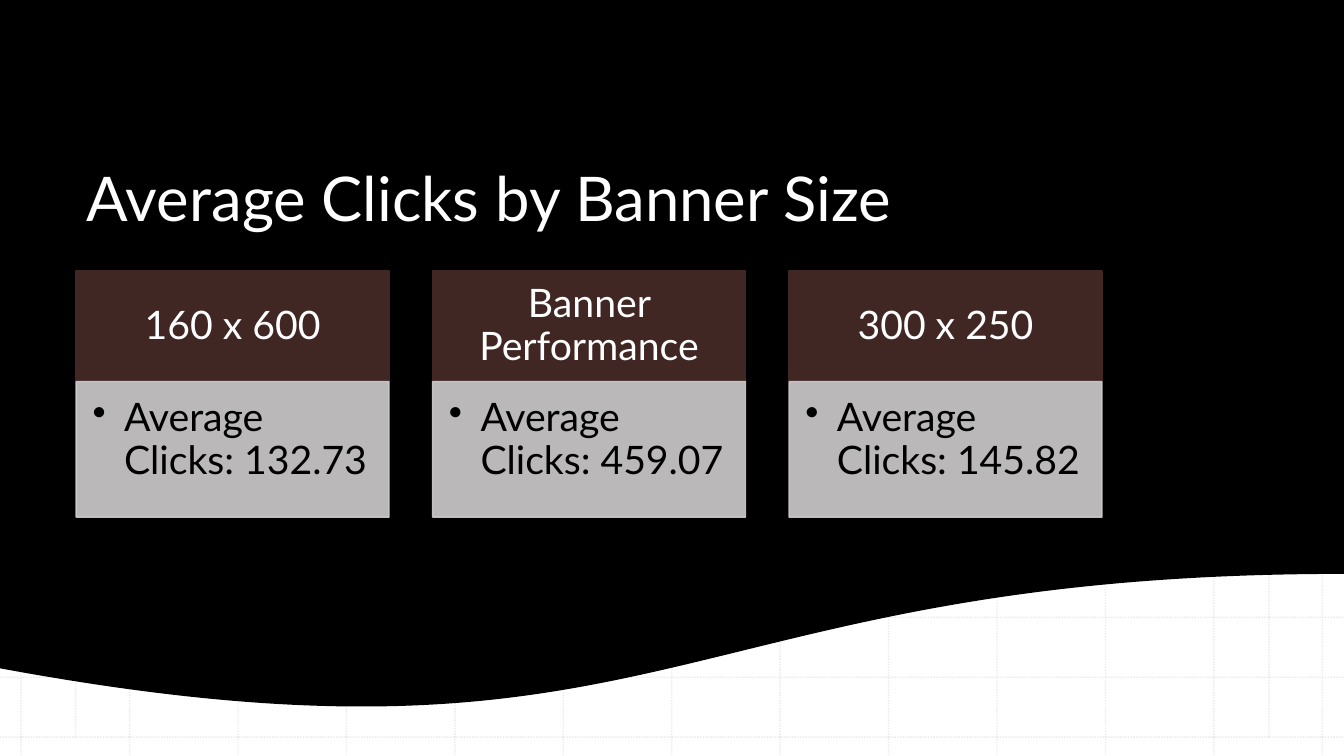
"""Build the slide on average clicks by banner size."""
import pptx
import pptx.dml.color
import pptx.enum.dml
import pptx.enum.shapes
import pptx.enum.text
import pptx.oxml
import pptx.oxml.ns
import pptx.util

TITLE = "Average Clicks by Banner Size"
CARDS = [
    ("160 x 600", "Average Clicks: 132.73"),
    ("Banner Performance", "Average Clicks: 459.07"),
    ("300 x 250", "Average Clicks: 145.82"),
]
FONT = "Lato"
WIDTH, HEIGHT = 960, 540
GRID_LEFT, GRID_TOP = 15.12, 13.5
COLUMN_STEP, ROW_STEP, GRID_COUNT = 77.45, 42.75, 13
MARGINS = (54, 906.5)
CARD_LEFT, CARD_TOP, CARD_WIDTH, CARD_STEP = 54.4, 193.6, 223.5, 254.6
HEADER_HEIGHT, BODY_HEIGHT = 79, 96.8
BULLET_INDENT = 22.5

Pt = pptx.util.Pt
SHAPES = pptx.enum.shapes.MSO_SHAPE
ALIGN = pptx.enum.text.PP_ALIGN
ANCHOR = pptx.enum.text.MSO_ANCHOR


def color(value):
    return pptx.dml.color.RGBColor.from_string(value)


def set_opacity(shape, percent):
    for node in shape.element.spPr.iter(pptx.oxml.ns.qn("a:srgbClr")):
        alpha = node.makeelement(pptx.oxml.ns.qn("a:alpha"), {"val": str(percent * 1000)})
        node.append(alpha)


def write_text(shape, text, *, size, fill, align=ALIGN.LEFT, anchor=ANCHOR.TOP,
               insets=(7.2, 3.6, 7.2, 3.6), spacing=1.0, bullet=False):
    frame = shape.text_frame
    frame.word_wrap = True
    frame.auto_size = pptx.enum.text.MSO_AUTO_SIZE.NONE
    frame.vertical_anchor = anchor
    (frame.margin_left, frame.margin_top,
     frame.margin_right, frame.margin_bottom) = map(Pt, insets)
    paragraph = frame.paragraphs[0]
    paragraph.alignment = align
    paragraph.line_spacing = spacing
    run = paragraph.add_run()
    run.text = text
    run.font.name = FONT
    run.font.size = Pt(size)
    run.font.color.rgb = color(fill)
    if bullet:
        properties = paragraph._p.get_or_add_pPr()
        properties.set("marL", str(Pt(BULLET_INDENT)))
        properties.set("indent", str(-Pt(BULLET_INDENT)))
        mark = properties.makeelement(pptx.oxml.ns.qn("a:buChar"), {"char": "•"})
        properties.append(mark)


def add_grid_line(slide, x1, y1, x2, y2):
    connector = slide.shapes.add_connector(
        pptx.enum.shapes.MSO_CONNECTOR.STRAIGHT, Pt(x1), Pt(y1), Pt(x2), Pt(y2))
    connector.line.color.rgb = color("BCBCBC")
    connector.line.width = Pt(1)
    connector.line.dash_style = pptx.enum.dml.MSO_LINE.ROUND_DOT
    set_opacity(connector, 30)
    properties = connector.element.spPr
    properties.append(properties.makeelement(pptx.oxml.ns.qn("a:effectLst"), {}))


def add_panel(slide, left, top, width, height, fill, *, kind=SHAPES.RECTANGLE, outline=True):
    shape = slide.shapes.add_shape(kind, Pt(left), Pt(top), Pt(width), Pt(height))
    shape.shadow.inherit = False
    shape.fill.solid()
    shape.fill.fore_color.rgb = color(fill)
    if outline:
        shape.line.color.rgb = color(fill)
        shape.line.width = Pt(1)
    else:
        shape.line.fill.background()
    return shape


def add_grid(slide):
    for index in range(GRID_COUNT):
        x = GRID_LEFT + index * COLUMN_STEP
        y = GRID_TOP + index * ROW_STEP
        add_grid_line(slide, x, 0, x, HEIGHT)
        add_grid_line(slide, 0, y, WIDTH, y)
    for x in MARGINS:
        add_grid_line(slide, x, GRID_TOP, x, HEIGHT - GRID_TOP)


def add_card(slide, left, heading, detail):
    header = add_panel(slide, left, CARD_TOP, CARD_WIDTH, HEADER_HEIGHT, "412724")
    write_text(header, heading, size=28, fill="FFFFFF", align=ALIGN.CENTER,
               anchor=ANCHOR.MIDDLE, insets=(15.7, 9, 15.7, 9), spacing=0.9)
    body = add_panel(slide, left, CARD_TOP + HEADER_HEIGHT, CARD_WIDTH, BODY_HEIGHT, "CFCDCD")
    set_opacity(body, 90)
    write_text(body, detail, size=28, fill="000000", insets=(11.7, 11.7, 15.7, 17.6),
               spacing=0.9, bullet=True)


def main():
    presentation = pptx.Presentation()
    presentation.slide_width, presentation.slide_height = Pt(WIDTH), Pt(HEIGHT)
    slide = presentation.slides.add_slide(presentation.slide_layouts[5])
    slide.background.fill.solid()
    slide.background.fill.fore_color.rgb = color("FFFFFF")

    add_grid(slide)
    add_panel(slide, 0, 0, WIDTH, 511.2, "000000",
              kind=SHAPES.FLOWCHART_DOCUMENT, outline=False)

    title = slide.shapes.title
    title.left, title.top, title.width, title.height = map(Pt, (54.7, 56.9, 812.9, 113.8))
    write_text(title, TITLE, size=44, fill="FFFFFF", anchor=ANCHOR.BOTTOM)
    slide.shapes._spTree.append(title.element)

    for index, (heading, detail) in enumerate(CARDS):
        add_card(slide, CARD_LEFT + index * CARD_STEP, heading, detail)

    presentation.save("out.pptx")


if __name__ == "__main__":
    main()
